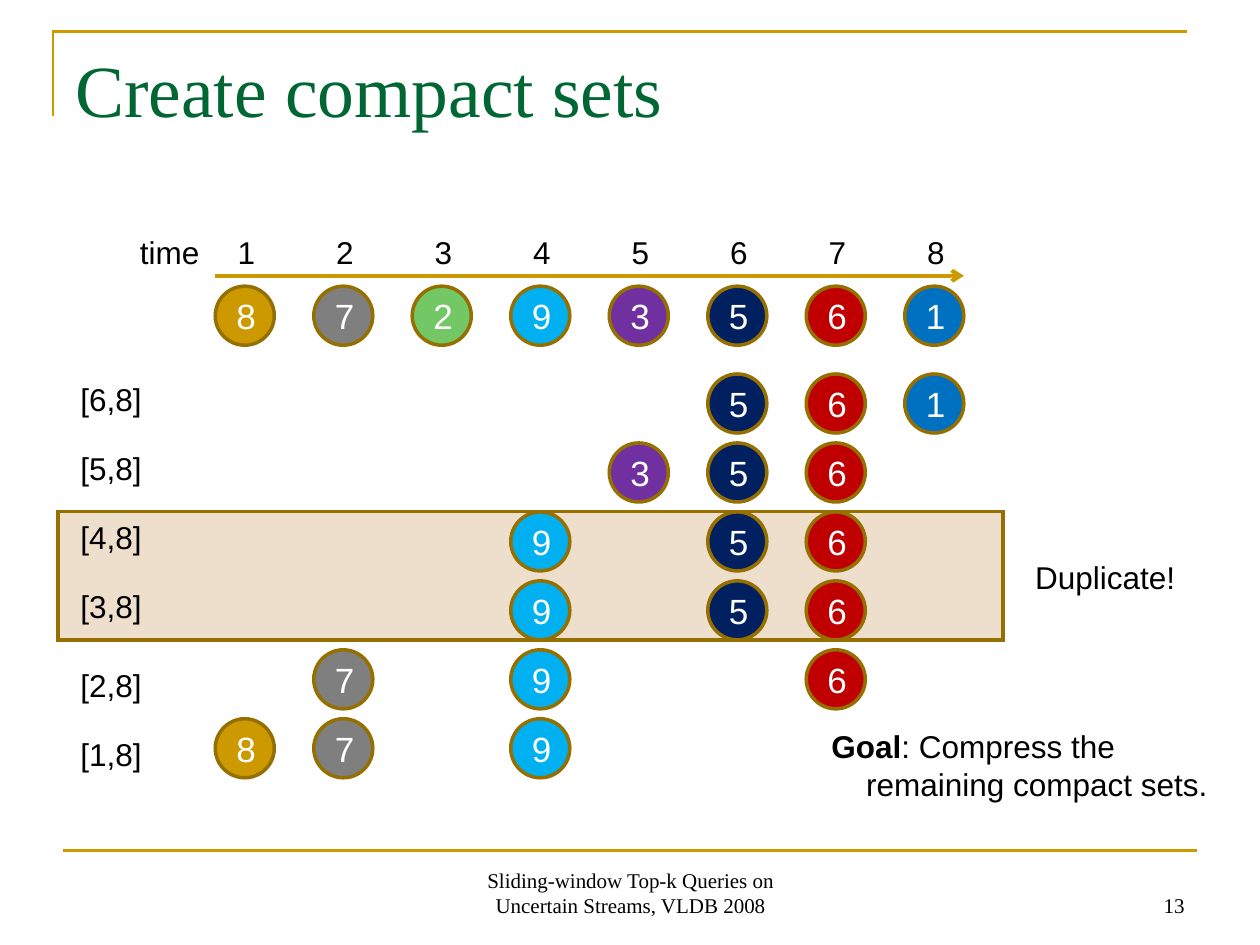
from pptx import Presentation
from pptx.dml.color import RGBColor as RGB
from pptx.enum.shapes import MSO_CONNECTOR as CONN, MSO_SHAPE as SHAPE
from pptx.enum.text import MSO_ANCHOR as ANCHOR, MSO_AUTO_SIZE as AUTO, PP_ALIGN as ALIGN
from pptx.oxml.ns import qn
from pptx.util import Cm, Pt
from lxml.etree import SubElement

COLORS = {
    "text": "000000", "white": "FFFFFF", "title": "006633",
    "rule": "CC9900", "outline": "956F00", "band": "EEDFCC",
}
# Stream in time order: (value, colour)
STREAM = [(8, "CC9900"), (7, "7F7F7F"), (2, "73C764"), (9, "00B0F0"),
          (3, "7030A0"), (5, "002060"), (6, "C00000"), (1, "0070C0")]
# Compact sets: window start -> times of its members
SETS = {6: [6, 7, 8], 5: [5, 6, 7], 4: [4, 6, 7],
        3: [4, 6, 7], 2: [2, 4, 7], 1: [1, 2, 4]}
LEFT, COL_STEP = 4.34, 13.9 / 7
STREAM_TOP, SETS_TOP, ROW_STEP = 5.77, 7.54, 1.39
DIAMETER = 1.19

prs = Presentation()
prs.slide_width, prs.slide_height = Cm(25.4), Cm(19.05)
s = prs.slides.add_slide(prs.slide_layouts[6])


def add_text(text, x, y, w, h, size=18, font="Arial", color="text",
             align=ALIGN.LEFT, anchor=ANCHOR.TOP, wrap=False):
    tf = s.shapes.add_textbox(Cm(x), Cm(y), Cm(w), Cm(h)).text_frame
    tf.word_wrap = wrap
    tf.auto_size = AUTO.NONE if wrap else AUTO.SHAPE_TO_FIT_TEXT
    tf.vertical_anchor = anchor
    tf.text = text
    for p in tf.paragraphs:
        p.alignment = align
        p.font.size, p.font.name = Pt(size), font
        p.font.color.rgb = RGB.from_string(COLORS[color])
    return tf


def add_shape(kind, x, y, w, h, fill):
    sp = s.shapes.add_shape(kind, Cm(x), Cm(y), Cm(w), Cm(h))
    sp.shadow.inherit = False
    sp.fill.solid()
    sp.fill.fore_color.rgb = RGB.from_string(fill)
    sp.line.color.rgb = RGB.from_string(COLORS["outline"])
    sp.line.width = Pt(2)
    return sp


# Corner frame
fb = s.shapes.build_freeform(Cm(1.07), Cm(2.34))
fb.add_line_segments([(Cm(1.07), Cm(0.64)), (Cm(23.93), Cm(0.64))], close=False)
frame = fb.convert_to_shape()
frame.shadow.inherit = False
frame.fill.background()
frame.line.color.rgb = RGB.from_string(COLORS["rule"])
frame.line.width = Pt(1.5)

# Highlight behind the duplicate sets
band = add_shape(SHAPE.RECTANGLE, 1.17, 10.31, 19.05, 2.59, COLORS["band"])

# Sharp corners
for sp in (frame, band):
    SubElement(sp.line._get_or_add_ln(), qn("a:miter"), lim="800000")

# Footer rule and time arrow
for x1, x2, y, width, arrow in [(1.27, 24.13, 17.15, 1.5, False),
                                (4.34, 19.43, 5.56, 2.25, True)]:
    line = s.shapes.add_connector(CONN.STRAIGHT, Cm(x1), Cm(y), Cm(x2), Cm(y))
    line.line.color.rgb = RGB.from_string(COLORS["rule"])
    line.line.width = Pt(width)
    if arrow:
        SubElement(line.line._get_or_add_ln(), qn("a:tailEnd"), type="arrow")
    SubElement(line._element.spPr, qn("a:effectLst"))

# Title and footer
add_text("Create compact sets", 1.27, 0.76, 22.86, 3.18, 42,
         "Times New Roman", "title", wrap=True)
add_text("Sliding-window Top-k Queries on Uncertain Streams, VLDB 2008",
         8.69, 17.35, 8.05, 1.27, 12, "Times New Roman",
         align=ALIGN.CENTER, anchor=ANCHOR.BOTTOM, wrap=True)
add_text("13", 18.21, 17.35, 5.92, 1.27, 12, "Times New Roman",
         align=ALIGN.RIGHT, anchor=ANCHOR.BOTTOM, wrap=True)

# Time labels
add_text("time", 2.57, 4.57, 1.7, 1.02)
for i in range(len(STREAM)):
    add_text(str(i + 1), LEFT + 0.2 + i * COL_STEP, 4.57, 0.86, 1.02)

# Window labels; the two below the band sit slightly lower
for row, start in enumerate(SETS):
    drop = 0.2 if row > 3 else 0
    add_text(f"[{start},8]", 1.37, SETS_TOP + row * ROW_STEP + drop, 1.8, 1.02)

# Circles of the stream and of each compact set
rows = [(STREAM_TOP, range(1, 9))]
rows += [(SETS_TOP + i * ROW_STEP, times) for i, times in enumerate(SETS.values())]
for top, times in rows:
    for t in times:
        value, fill = STREAM[t - 1]
        sp = add_shape(SHAPE.OVAL, LEFT + (t - 1) * COL_STEP, top,
                       DIAMETER, DIAMETER, fill)
        tf = sp.text_frame
        tf.text = str(value)
        tf.vertical_anchor = ANCHOR.MIDDLE
        p = tf.paragraphs[0]
        p.alignment = ALIGN.CENTER
        p.font.size, p.font.name = Pt(20), "Arial"
        p.font.color.rgb = RGB.from_string(COLORS["white"])

# Remarks
add_text("Duplicate!", 20.62, 11.13, 3.33, 1.02)
goal = add_text("\nremaining compact sets.", 16.51, 14.53, 8.1, 1.78)
first, second = goal.paragraphs
r = first.add_run()
r.text = "Goal"
r.font.bold = True
first.add_run().text = ": Compress the"
second._p.get_or_add_pPr().set("marL", str(Cm(0.7)))

prs.save("out.pptx")
